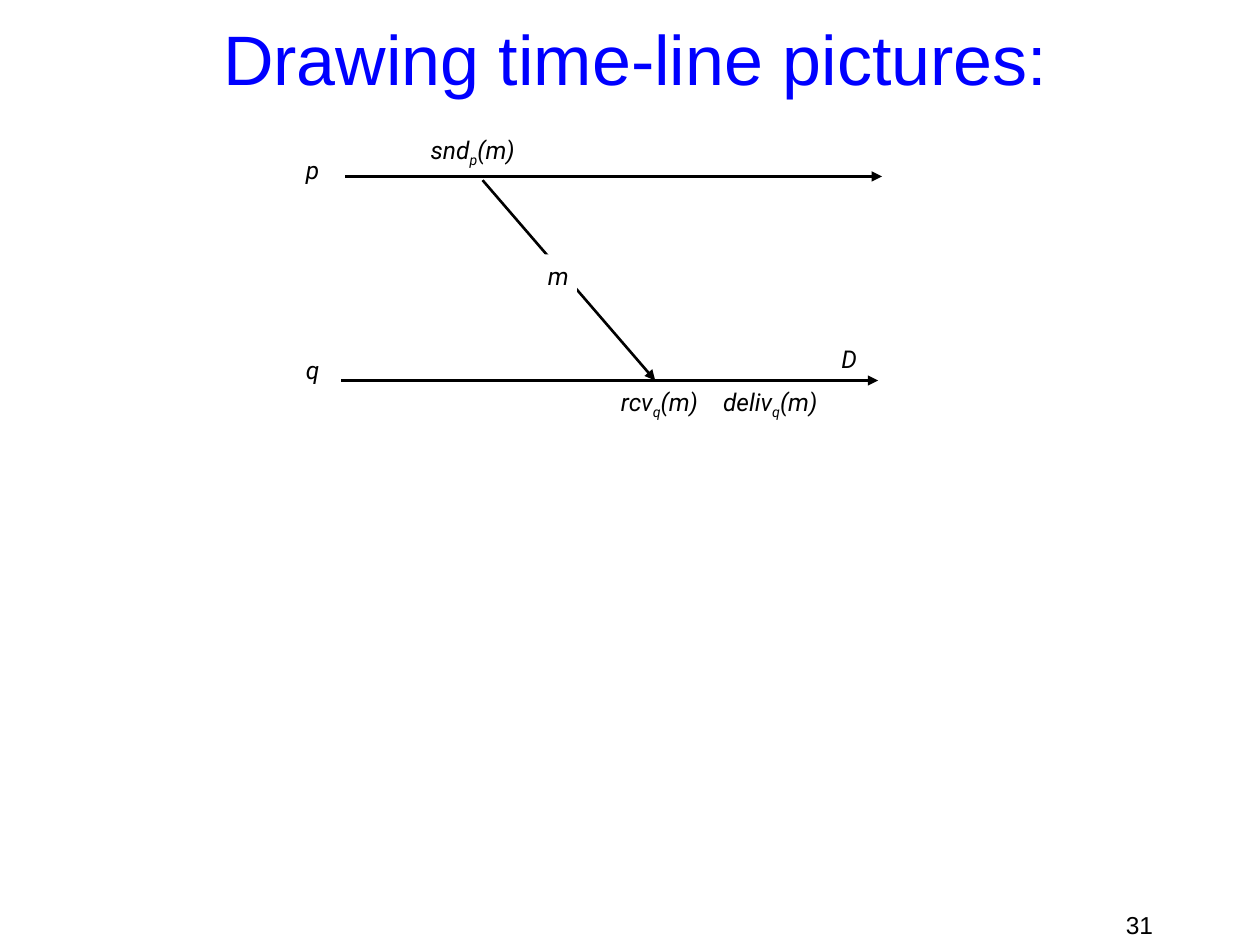
from lxml import etree
from pptx import Presentation
from pptx.dml.color import RGBColor
from pptx.enum.shapes import MSO_CONNECTOR
from pptx.enum.text import MSO_ANCHOR, PP_ALIGN
from pptx.oxml.ns import qn
from pptx.util import Inches, Pt

STRAIGHT = MSO_CONNECTOR.STRAIGHT
TOP, MIDDLE = MSO_ANCHOR.TOP, MSO_ANCHOR.MIDDLE
LEFT, CENTER, RIGHT = PP_ALIGN.LEFT, PP_ALIGN.CENTER, PP_ALIGN.RIGHT
BLACK, BLUE, WHITE = "000000", "0000FF", "FFFFFF"
LABEL = {"name": "Roboto", "size": Pt(14), "italic": True}


def add_text(box, runs, font, color=BLACK, align=LEFT, anchor=TOP, fill=None):
    """Add a text box; runs starting with "_" are set as subscripts."""
    sp = s.shapes.add_textbox(*map(Inches, box))
    if fill:
        sp.fill.solid()
        sp.fill.fore_color.rgb = RGBColor.from_string(fill)
    tf = sp.text_frame
    tf.word_wrap = True
    tf.vertical_anchor = anchor
    p = tf.paragraphs[0]
    p.alignment = align
    for text in runs:
        r = p.add_run()
        r.text = text.lstrip("_")
        for key, value in font.items():
            setattr(r.font, key, value)
        r.font.color.rgb = RGBColor.from_string(color)
        if text.startswith("_"):
            r.font._element.set("baseline", "-25000")


def add_arrow(x1, y1, x2, y2):
    line = s.shapes.add_connector(STRAIGHT, *map(Inches, (x1, y1, x2, y2)))
    line.line.color.rgb = RGBColor.from_string(BLACK)
    line.line.width = Pt(1.5)
    etree.SubElement(line.line._get_or_add_ln(), qn("a:tailEnd"), type="triangle")
    etree.SubElement(line._element.spPr, qn("a:effectLst"))


prs = Presentation()
prs.slide_width, prs.slide_height = Inches(10), Inches(7.5)
s = prs.slides.add_slide(prs.slide_layouts[6])

add_text((7.17, 7.17, 2.08, 0.25), ["31"], {"name": "Arial", "size": Pt(14)}, align=RIGHT)
add_text((0.33, 0.17, 9.42, 0.58), ["Drawing time-line pictures:"],
         {"name": "Arial", "size": Pt(40)}, BLUE, CENTER, MIDDLE)

# Time lines of p and q, then the message between them
P_Y, Q_Y = 1.4, 3.02
add_arrow(2.74, P_Y, 7, P_Y)
add_arrow(2.71, Q_Y, 6.97, Q_Y)
add_arrow(3.83, 1.43, 5.2, Q_Y)

# Process names and the message name, on white
for name, box in [("p", (2.33, 1.18, 0.33, 0.99)),
                  ("q", (2.33, 2.77, 0.33, 0.99)),
                  ("m", (4.25, 2.02, 0.33, 0.33))]:
    add_text(box, [name], LABEL, fill=WHITE)

# Events
for runs, box in [(["snd", "_p", "(m)"], (3.32, 1.02, 1.18, 0.99)),
                  (["rcv", "_q", "(m)"], (4.83, Q_Y, 0.85, 0.98)),
                  (["deliv", "_q", "(m)"], (5.64, Q_Y, 1.27, 0.98)),
                  (["D"], (6.58, 2.68, 0.33, 0.33))]:
    add_text(box, runs, LABEL)

prs.save("out.pptx")
